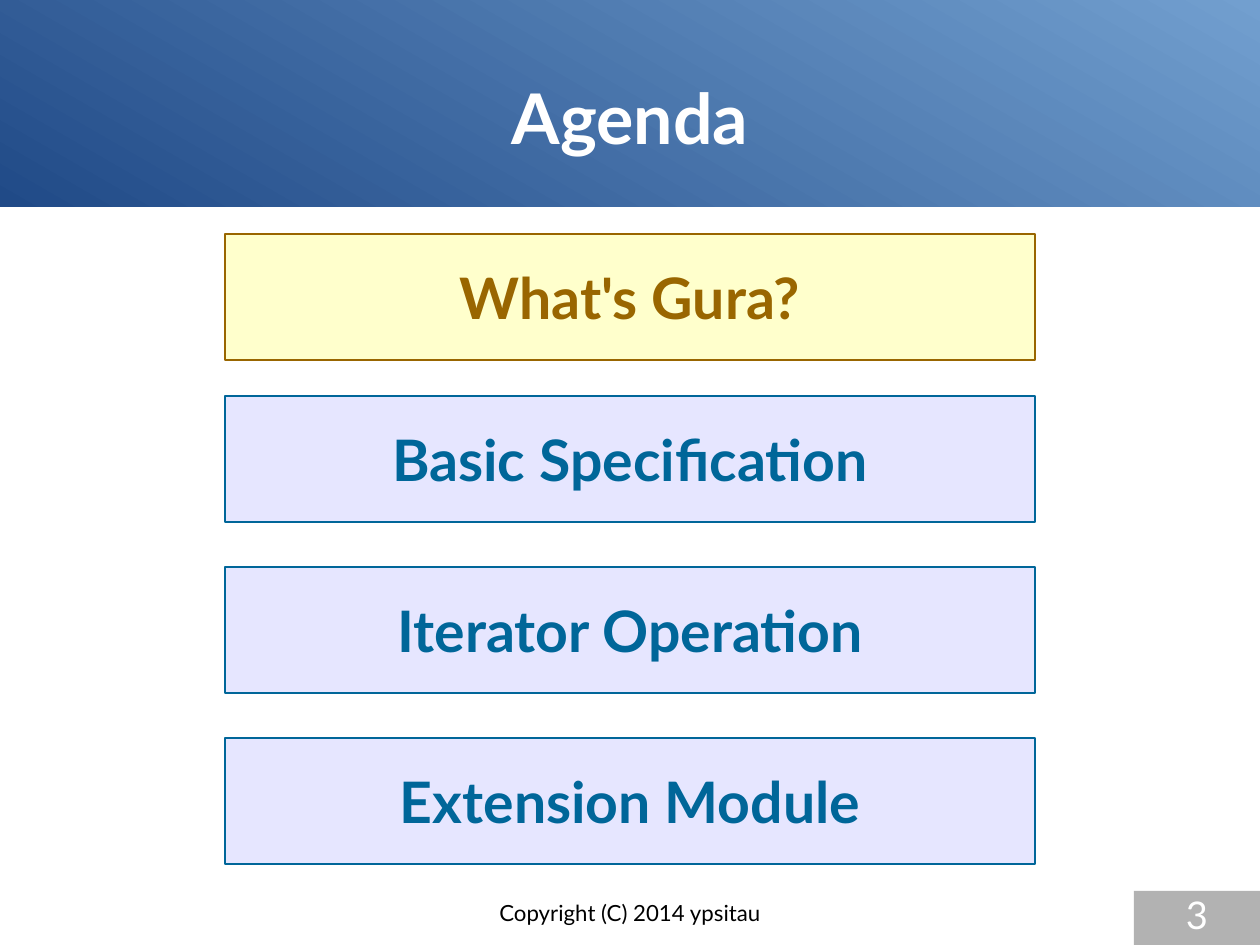
from pptx import Presentation
from pptx.dml.color import RGBColor
from pptx.enum.shapes import MSO_SHAPE
from pptx.enum.text import MSO_ANCHOR, PP_ALIGN
from pptx.util import Cm, Pt

SLIDE_WIDTH, SLIDE_HEIGHT = 28, 21
FONT_NAME = "Lato"
DARK_BLUE = RGBColor(0x20, 0x4A, 0x87)
LIGHT_BLUE = RGBColor(0x72, 0x9F, 0xCF)
LAVENDER = RGBColor(0xE6, 0xE6, 0xFF)
TEAL = RGBColor(0x00, 0x66, 0x99)
CREAM = RGBColor(0xFF, 0xFF, 0xCC)
BROWN = RGBColor(0x99, 0x66, 0x00)
GREY = RGBColor(0xB2, 0xB2, 0xB2)
WHITE = RGBColor(0xFF, 0xFF, 0xFF)
BLACK = RGBColor(0x00, 0x00, 0x00)

TOPICS = ["What's Gura?", "Basic Specification", "Iterator Operation", "Extension Module"]
CURRENT_TOPIC = 0
CURRENT_OFFSET = 0.2
TOPIC_HEIGHT = 2.8
TOPIC_PITCH = 3.8


def write_text(shape, text, size, color, bold=False, anchor=MSO_ANCHOR.TOP, margins=(0, 0)):
    frame = shape.text_frame
    frame.word_wrap = True
    frame.vertical_anchor = anchor
    frame.margin_left = frame.margin_right = Cm(margins[0])
    frame.margin_top = frame.margin_bottom = Cm(margins[1])
    paragraph = frame.paragraphs[0]
    paragraph.alignment = PP_ALIGN.CENTER
    run = paragraph.add_run()
    run.text = text
    run.font.name = FONT_NAME
    run.font.size = Pt(size)
    run.font.bold = bold
    run.font.color.rgb = color


def add_rectangle(slide, box, fill_color=None, line_color=None):
    shape = slide.shapes.add_shape(MSO_SHAPE.RECTANGLE, *map(Cm, box))
    shape.shadow.inherit = False
    if fill_color is not None:
        shape.fill.solid()
        shape.fill.fore_color.rgb = fill_color
    if line_color is None:
        shape.line.fill.background()
    else:
        shape.line.color.rgb = line_color
        shape.line.width = Pt(0.79)
    return shape


def add_header(slide, box):
    left, top, width, height = box
    band = add_rectangle(slide, box)
    band.fill.gradient()
    band.fill.gradient_angle = 60
    for stop, color, position in zip(band.fill.gradient_stops, (DARK_BLUE, LIGHT_BLUE), (0, 1)):
        stop.color.rgb = color
        stop.position = position

    title = slide.shapes.title
    title.left, title.width = Cm(left + width * 0.05), Cm(width * 0.9)
    title.top, title.height = Cm(top + 0.84), Cm(height - 1.1)
    write_text(title, "Agenda", 44, WHITE, bold=True, anchor=MSO_ANCHOR.MIDDLE)
    title.element.addprevious(band.element)


def add_agenda(slide, box):
    left, top, width, _ = box
    for row, topic in enumerate(TOPICS):
        is_current = row == CURRENT_TOPIC
        fill_color, accent = (CREAM, BROWN) if is_current else (LAVENDER, TEAL)
        row_top = top + row * TOPIC_PITCH + (CURRENT_OFFSET if is_current else 0)
        shape = add_rectangle(slide, (left, row_top, width, TOPIC_HEIGHT), fill_color, accent)
        write_text(shape, topic, 36, accent, bold=True, anchor=MSO_ANCHOR.MIDDLE, margins=(0.25, 0.13))


def add_footer(slide, box):
    left, top, width, height = box
    notice_width, number_width = 8.86, width * 0.1
    notice = slide.shapes.add_textbox(
        Cm(left + (width - notice_width) / 2), Cm(top + 0.18),
        Cm(notice_width), Cm(height - 0.18),
    )
    write_text(notice, "Copyright (C) 2014 ypsitau", 14, BLACK)
    number = add_rectangle(slide, (left + width - number_width, top, number_width, height), GREY)
    write_text(number, "3", 24, WHITE)


def main():
    presentation = Presentation()
    presentation.slide_width = Cm(SLIDE_WIDTH)
    presentation.slide_height = Cm(SLIDE_HEIGHT)
    slide = presentation.slides.add_slide(presentation.slide_layouts[5])
    add_header(slide, (0, 0, SLIDE_WIDTH, 4.6))
    add_agenda(slide, (5, 5, 18, 14.2))
    add_footer(slide, (0, 19.8, SLIDE_WIDTH, 1.2))
    presentation.save("out.pptx")


if __name__ == "__main__":
    main()
